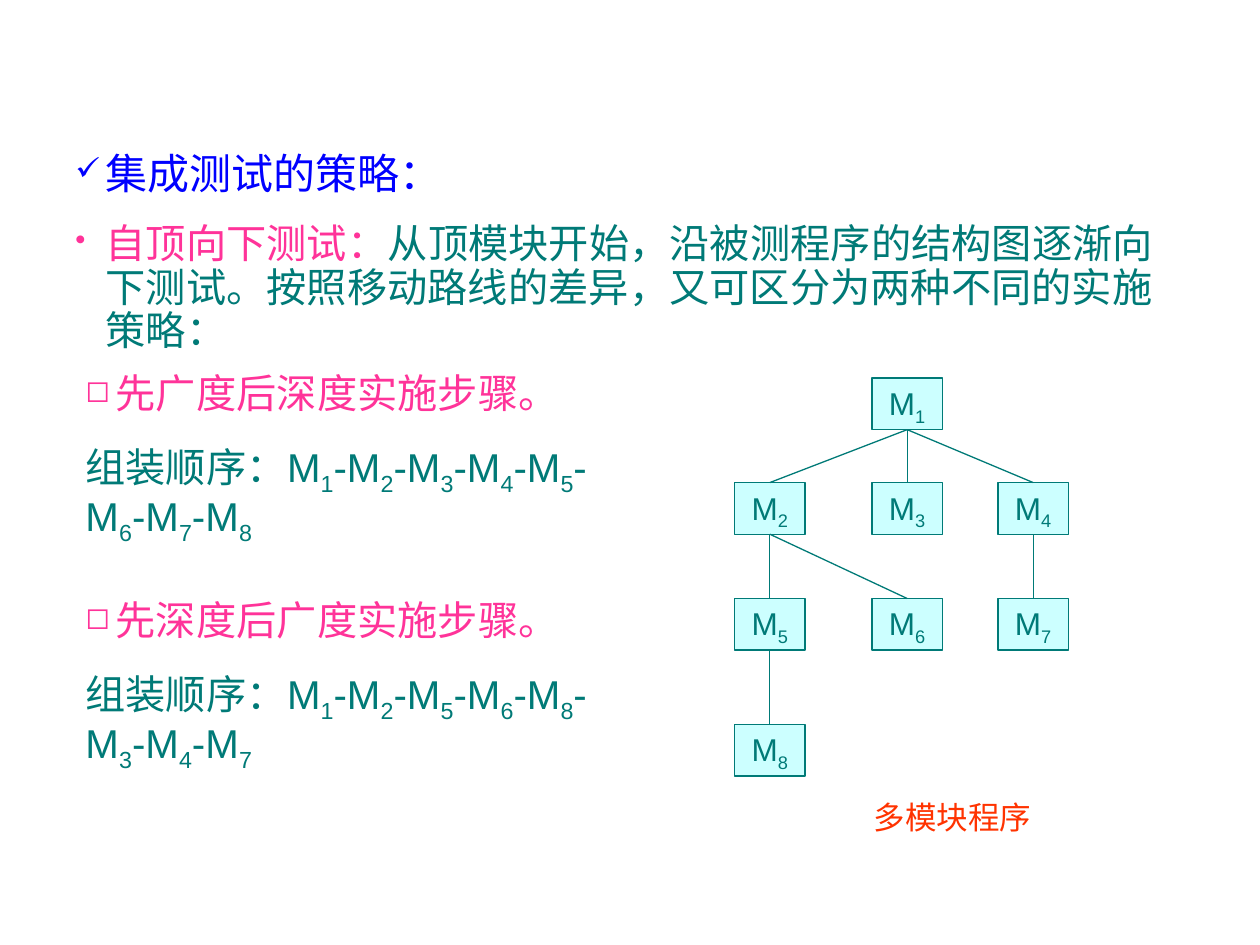
from itertools import groupby

from lxml import etree
from pptx import Presentation
from pptx.dml.color import RGBColor
from pptx.enum.shapes import MSO_CONNECTOR, MSO_SHAPE
from pptx.enum.text import MSO_ANCHOR, PP_ALIGN
from pptx.oxml.ns import qn
from pptx.util import Inches, Pt

LEFT, CENTER = PP_ALIGN.LEFT, PP_ALIGN.CENTER
MIDDLE = MSO_ANCHOR.MIDDLE
RECTANGLE, STRAIGHT = MSO_SHAPE.RECTANGLE, MSO_CONNECTOR.STRAIGHT
BOTTOM_SIDE, TOP_SIDE = 2, 0

THEME = {
    "font": "Arial",
    "blue": "0000FF", "pink": "FF3399", "teal": "007A77",
    "orange": "FF3300", "pale": "CCFFFF",
    "heading": 24, "body": 23, "label": 18,
    "line": 0.75, "spacing": 0.9, "hanging": 0.24,
}


def color(name):
    return RGBColor.from_string(THEME[name])


def write(para, spans, size, align=LEFT, before=0, bullet=None):
    """Fill a paragraph from (text, colour) pairs; digits become subscripts."""
    if bullet:
        props = para._p.get_or_add_pPr()
        indent = Inches(THEME["hanging"])
        props.set("marL", str(indent))
        props.set("indent", str(-indent))
        bullet_color = etree.SubElement(props, qn("a:buClr"))
        etree.SubElement(bullet_color, qn("a:srgbClr"), val=THEME[spans[0][1]])
        etree.SubElement(props, qn("a:buSzPct"), val="75000")
        etree.SubElement(props, qn("a:buChar"), char=bullet)
    para.alignment = align
    para.line_spacing = THEME["spacing"]
    para.space_before = Pt(before)
    for text, ink in spans:
        for is_index, characters in groupby(text, str.isdigit):
            span = para.add_run()
            span.text = "".join(characters)
            span.font.name = THEME["font"]
            span.font.size = Pt(THEME[size])
            span.font.color.rgb = color(ink)
            if is_index:
                span._r.get_or_add_rPr().set("baseline", "-25000")


deck = Presentation()
deck.slide_width, deck.slide_height = Inches(10), Inches(7.5)
page = deck.slides.add_slide(deck.slide_layouts[6])

# Strategy introduction
box = page.shapes.add_textbox(Inches(0.5), Inches(1.17), Inches(9), Inches(1.35))
frame = box.text_frame
frame.word_wrap = True
write(frame.paragraphs[0], [("集成测试的策略：", "blue")], "heading", bullet="✓")
write(
    frame.add_paragraph(),
    [
        ("自顶向下测试：", "pink"),
        ("从顶模块开始，沿被测程序的结构图逐渐向下测试。"
         "按照移动路线的差异，又可区分为两种不同的实施策略：", "teal"),
    ],
    "body", before=14.4, bullet="•",
)

# Module tree: each module sits at a column and a row
columns = [5.83, 6.92, 7.92]
rows = [3, 3.83, 4.75, 5.75]
cells = {
    1: (1, 0),
    2: (0, 1), 3: (1, 1), 4: (2, 1),
    5: (0, 2), 6: (1, 2), 7: (2, 2),
    8: (0, 3),
}
calls = [(1, 2), (1, 3), (1, 4), (2, 5), (2, 6), (4, 7), (5, 8)]

modules = {}
for number, (column, row) in cells.items():
    module = page.shapes.add_shape(
        RECTANGLE, Inches(columns[column]), Inches(rows[row]), Inches(0.56), Inches(0.41)
    )
    module.shadow.inherit = False
    module.fill.solid()
    module.fill.fore_color.rgb = color("pale")
    module.line.color.rgb = color("teal")
    module.line.width = Pt(THEME["line"])
    module.text_frame.vertical_anchor = MIDDLE
    write(module.text_frame.paragraphs[0], [(f"M{number}", "teal")], "label", CENTER)
    modules[number] = module

for caller, called in calls:
    link = page.shapes.add_connector(STRAIGHT, 0, 0, 0, 0)
    link.begin_connect(modules[caller], BOTTOM_SIDE)
    link.end_connect(modules[called], TOP_SIDE)
    link.line.color.rgb = color("teal")
    link.line.width = Pt(THEME["line"])
    etree.SubElement(link._element.spPr, qn("a:effectLst"))

caption = page.shapes.add_textbox(Inches(6.56), Inches(6.32), Inches(2), Inches(0.37))
caption.text_frame.word_wrap = True
write(caption.text_frame.paragraphs[0], [("多模块程序", "orange")], "label", CENTER)

# The two assembly orders
orders = [
    (2.92, "先广度后深度实施步骤。", [1, 2, 3, 4, 5, 6, 7, 8]),
    (4.72, "先深度后广度实施步骤。", [1, 2, 5, 6, 8, 3, 4, 7]),
]
for top, title, sequence in orders:
    box = page.shapes.add_textbox(Inches(0.58), Inches(top), Inches(4.42), Inches(1.43))
    frame = box.text_frame
    frame.word_wrap = True
    write(frame.paragraphs[0], [(title, "pink")], "body", bullet="◻")
    order = "-".join(f"M{number}" for number in sequence)
    write(frame.add_paragraph(), [("组装顺序：" + order, "teal")], "body", before=14.4)

deck.save("out.pptx")
